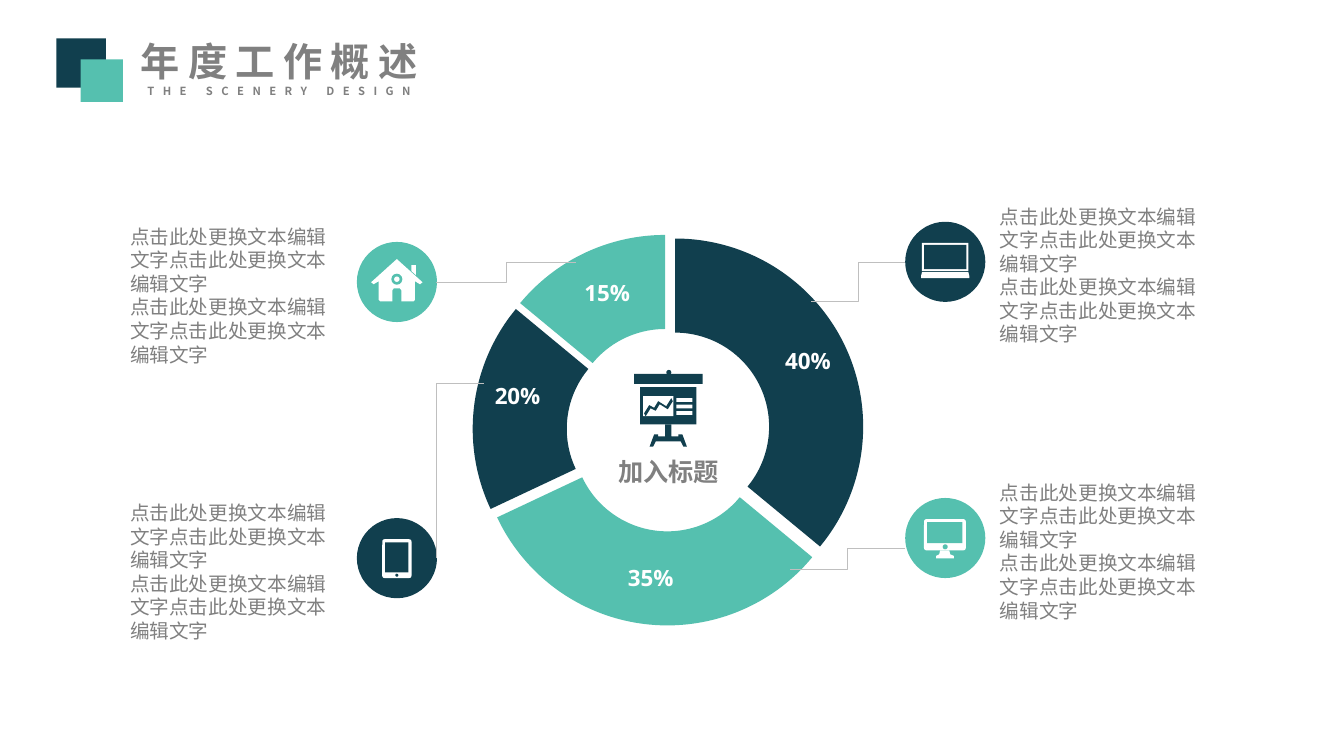
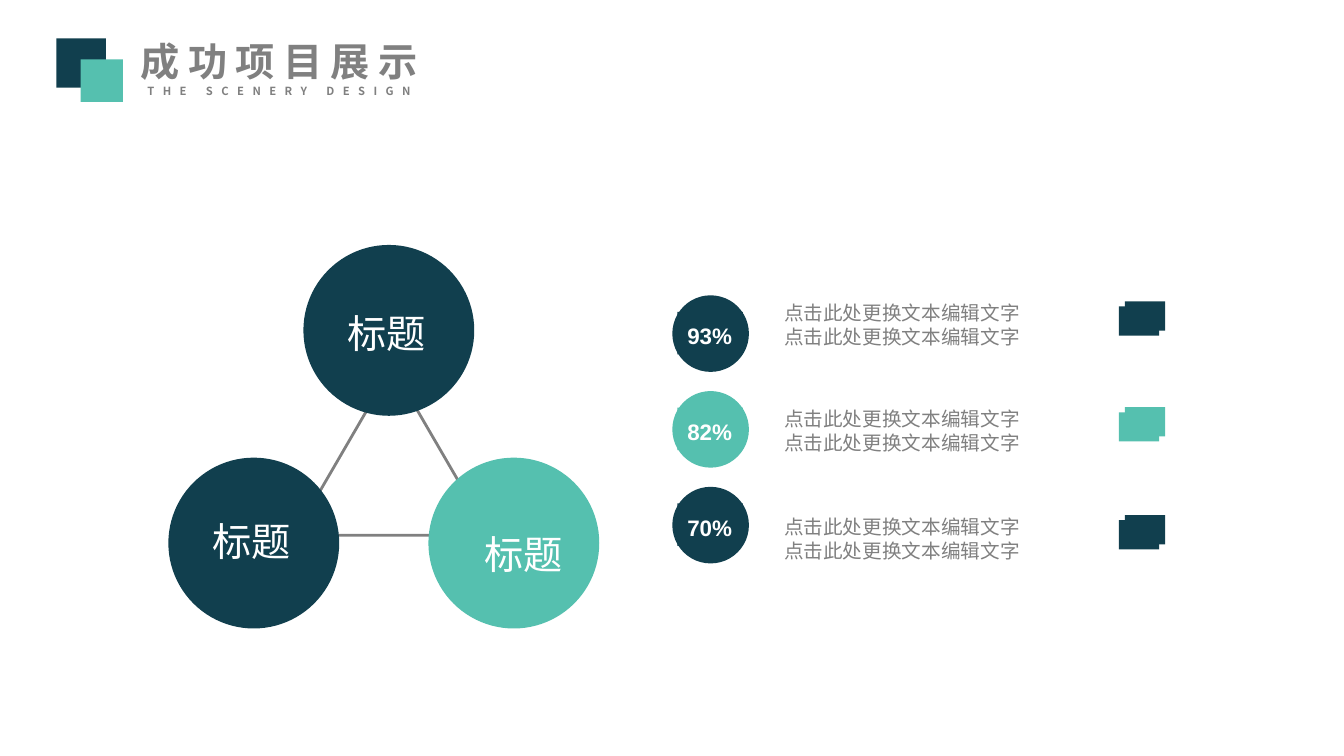
from lxml.etree import SubElement
from pptx import Presentation
from pptx.chart.data import CategoryChartData
from pptx.dml.color import RGBColor
from pptx.enum.chart import XL_CHART_TYPE
from pptx.enum.shapes import MSO_CONNECTOR, MSO_SHAPE
from pptx.enum.text import MSO_ANCHOR, PP_ALIGN
from pptx.oxml.ns import qn
from pptx.util import Inches, Pt

NAVY = RGBColor(0x11, 0x3F, 0x4E)
TEAL = RGBColor(0x55, 0xC0, 0xAF)
GRAY = RGBColor(0x80, 0x80, 0x80)
SILVER = RGBColor(0xBF, 0xBF, 0xBF)
WHITE = RGBColor(0xFF, 0xFF, 0xFF)
CJK = "Noto Sans CJK SC"
COLUMNS, ROWS = 133.33, 75
CELL = Inches(0.1)
NORMAL, TIGHT = (1, 0.5), (0.5, 0.3)
PHRASE = "点击此处更换文本编辑文字"


def cells(*values):
    """Turn columns or rows of the grid into lengths."""
    return [round(value * CELL) for value in values]


class Deck:
    """Hold the shared style and draw on the current slide."""

    def __init__(self):
        self.presentation = Presentation()
        self.presentation.slide_width, self.presentation.slide_height = cells(COLUMNS, ROWS)
        self.slide = None

    def new_slide(self, title):
        """Start a slide with the title and its two squares."""
        self.slide = self.presentation.slides.add_slide(self.presentation.slide_layouts[6])
        self.text(12.4, 3.2, 30.6, 7.1, [(title, 28), ("THE SCENERY DESIGN", 8)],
                  bold=True, align=PP_ALIGN.CENTER, wrap=False, spacing=6)
        self.shape(5.6, 3.8, 4.9, 4.9, NAVY)
        self.shape(8, 5.9, 4.2, 4.2, TEAL)

    def paint(self, shape, fill, line=None):
        """Give a shape a flat fill or an outline."""
        shape.shadow.inherit = False
        if fill is None:
            shape.fill.background()
        else:
            shape.fill.solid()
            shape.fill.fore_color.rgb = fill
        if line is None:
            shape.line.fill.background()
        else:
            shape.line.color.rgb = line
            shape.line.width = Pt(2)
        return shape

    def shape(self, left, top, width, height, fill, kind=MSO_SHAPE.RECTANGLE, line=None):
        """Add a preset shape."""
        shape = self.slide.shapes.add_shape(kind, *cells(left, top, width, height))
        return self.paint(shape, fill, line)

    def circle(self, left, top, size, fill):
        """Add a circle."""
        return self.shape(left, top, size, size, fill, MSO_SHAPE.OVAL)

    def rounded(self, left, top, width, height, fill):
        """Add a rectangle with slightly rounded corners."""
        shape = self.shape(left, top, width, height, fill, MSO_SHAPE.ROUNDED_RECTANGLE)
        shape.adjustments[0] = 0.08
        return shape

    def polygon(self, fill, points):
        """Add a closed outline through the points."""
        corners = [tuple(cells(*point)) for point in points]
        builder = self.slide.shapes.build_freeform(*corners[0])
        builder.add_line_segments(corners[1:], close=True)
        return self.paint(builder.convert_to_shape(), fill)

    def text(self, left, top, width, height, lines, font=CJK, color=GRAY, bold=False,
             align=PP_ALIGN.LEFT, wrap=True, insets=NORMAL, spacing=0, leading=None, fill=None):
        """Add a text box with one paragraph for each line and its size."""
        shape = self.slide.shapes.add_textbox(*cells(left, top, width, height))
        if fill is not None:
            self.paint(shape, fill)
        frame = shape.text_frame
        frame.word_wrap = wrap
        frame.vertical_anchor = MSO_ANCHOR.TOP
        frame.margin_left, frame.margin_top = cells(*insets)
        frame.margin_right, frame.margin_bottom = cells(*insets)
        for index, (content, size) in enumerate(lines):
            paragraph = frame.add_paragraph() if index else frame.paragraphs[0]
            paragraph.alignment = align
            if leading:
                paragraph.line_spacing = leading
            run = paragraph.add_run()
            run.text = content
            run.font.size = Pt(size)
            run.font.bold = bold
            run.font.color.rgb = color
            run.font.name = font
            properties = run._r.get_or_add_rPr()
            SubElement(properties, qn("a:ea")).set("typeface", font)
            if spacing:
                properties.set("spc", str(spacing * 100))

    def elbow(self, start, end, bend=0.5):
        """Add a thin bent connector that turns at a share of its width."""
        connector = self.slide.shapes.add_connector(MSO_CONNECTOR.ELBOW, *cells(*start, *end))
        connector.line.color.rgb = SILVER
        connector.line.width = Pt(0.5)
        properties = connector._element.spPr
        guides = properties.find(qn("a:prstGeom")).find(qn("a:avLst"))
        guide = SubElement(guides, qn("a:gd"))
        guide.set("name", "adj1")
        guide.set("fmla", f"val {round(bend * 100000)}")
        SubElement(properties, qn("a:effectLst"))

    def doughnut(self, left, top, width, height, values, colors):
        """Add an exploded doughnut chart."""
        data = CategoryChartData()
        data.categories = [str(number + 1) for number in range(len(values))]
        data.add_series("Series 1", values)
        chart = self.slide.shapes.add_chart(
            XL_CHART_TYPE.DOUGHNUT, *cells(left, top, width, height), data).chart
        chart.has_legend = False
        chart.has_title = False
        chart.font.name = CJK
        chart.font.size = Pt(18)
        plot = chart.plots[0]
        plot.vary_by_categories = True
        plot._element.find(qn("c:holeSize")).set("val", "64")
        series = plot.series[0]
        explosion = SubElement(series._element, qn("c:explosion"))
        explosion.set("val", "8")
        series._element.find(qn("c:cat")).addprevious(explosion)
        for index, color in enumerate(colors):
            point = series.points[index].format
            point.fill.solid()
            point.fill.fore_color.rgb = color
            point.line.fill.background()
        area = chart._chartSpace.chart.plotArea
        for layout in area.findall(qn("c:layout")):
            area.remove(layout)
        layout = SubElement(area, qn("c:layout"))
        area.insert(0, layout)
        manual = SubElement(layout, qn("c:manualLayout"))
        share = 0.94
        across = share * height / width
        settings = [("layoutTarget", "inner"), ("xMode", "edge"), ("yMode", "edge"),
                    ("x", (1 - across) / 2), ("y", (1 - share) / 2), ("w", across), ("h", share)]
        for name, value in settings:
            SubElement(manual, qn(f"c:{name}")).set("val", str(value))

    def board_icon(self, left, top):
        """Draw a presentation board on a stand."""
        self.circle(left + 3.2, top, 0.5, NAVY)
        self.shape(left, top + 0.4, 6.8, 1, NAVY)
        self.shape(left + 0.6, top + 1.7, 5.6, 3.7, NAVY)
        self.shape(left + 0.9, top + 2.6, 3, 2, WHITE)
        for row in range(3):
            self.shape(left + 4.2, top + 2.8 + 0.65 * row, 1.6, 0.37, WHITE)
        trend = [(1, 4.3), (1.5, 3.5), (2, 3.75), (2.4, 3.1), (3.2, 3.6), (3.7, 2.8)]
        band = trend + [(x + 0.15, y + 0.3) for x, y in reversed(trend)]
        self.polygon(NAVY, [(left + x, top + y) for x, y in band])
        stand = [(0.3, 5.4), (0.3, 6.6), (1, 6.6), (1, 6.4), (1.4, 6.4), (1.85, 7.6),
                 (1.5, 7.6), (1.25, 7.1)]
        outline = stand + [(-x, y) for x, y in reversed(stand)]
        self.polygon(NAVY, [(left + 3.4 + x, top + y) for x, y in outline])

    def house_icon(self, x, y, back):
        """Draw a house centred on a point."""
        half = [(0, -2.3), (2.55, 0), (2.3, 0.2), (1.8, -0.1), (1.8, 1.75), (1.65, 1.9),
                (0.45, 1.9), (0.45, 0.8), (0.3, 0.6)]
        outline = half + [(-across, down) for across, down in reversed(half[1:])]
        self.polygon(WHITE, [(x + across, y + down) for across, down in outline])
        self.polygon(WHITE, [(x + 1.45, y - 1.7), (x + 1.9, y - 1.7),
                             (x + 1.9, y - 0.7), (x + 1.45, y - 1.1)])
        self.circle(x - 0.55, y - 0.85, 1.1, back)
        self.circle(x - 0.27, y - 0.57, 0.54, WHITE)

    def tablet_icon(self, x, y, back):
        """Draw a tablet centred on a point."""
        self.rounded(x - 1.45, y - 1.9, 2.9, 3.85, WHITE)
        self.shape(x - 1.15, y - 1.6, 2.3, 3, back)
        self.circle(x - 0.15, y + 1.52, 0.3, back)

    def monitor_icon(self, x, y, back):
        """Draw a desktop monitor centred on a point."""
        self.rounded(x - 2.1, y - 1.9, 4.15, 3.1, WHITE)
        self.shape(x - 1.8, y - 1.6, 3.5, 2.1, back)
        self.circle(x - 0.25, y + 0.6, 0.5, back)
        stand = [(-0.5, 1.2), (0.4, 1.2), (0.5, 1.6), (0.85, 1.75), (0.85, 2),
                 (-0.9, 2), (-0.9, 1.75), (-0.6, 1.6)]
        self.polygon(WHITE, [(x + across, y + down) for across, down in stand])

    def laptop_icon(self, x, y, back):
        """Draw a laptop centred on a point."""
        self.shape(x - 2.3, y - 1.9, 4.6, 2.8, WHITE)
        self.shape(x - 2.1, y - 1.7, 4.2, 2.4, back)
        base = [(-2.3, 1), (2.3, 1), (2.4, 1.4), (2.4, 1.6), (-2.4, 1.6), (-2.4, 1.4)]
        self.polygon(WHITE, [(x + across, y + down) for across, down in base])

    def save(self):
        """Write the file."""
        self.presentation.save("out.pptx")


def overview(deck):
    """Build the slide with the doughnut and its four notes."""
    deck.new_slide("年度工作概述")
    deck.doughnut(42.2, 22, 48.2, 41.3, (36, 32, 18, 14), (NAVY, TEAL, NAVY, TEAL))
    notes = [(98.7, 20, 89.8, NAVY, deck.laptop_icon),
             (98.7, 47.4, 89.8, TEAL, deck.monitor_icon),
             (12.4, 22, 35.4, TEAL, deck.house_icon),
             (12.4, 49.4, 35.4, NAVY, deck.tablet_icon)]
    for left, top, badge, color, icon in notes:
        deck.text(left, top, 22.3, 14.6, [(PHRASE * 2, 14)] * 2, insets=TIGHT)
        deck.circle(badge, top + 2, 7.95, color)
        icon(badge + 3.97, top + 6, color)
    deck.elbow((43.3, 28), (57.1, 26))
    deck.elbow((43.3, 55.4), (48, 38), bend=0)
    deck.elbow((89.8, 26), (80.5, 29.9))
    deck.elbow((89.8, 54.4), (78.4, 56.5))
    labels = [(76.8, 34.1, "40%"), (56.9, 27.4, "15%"), (61.2, 55.7, "35%"), (48, 37.6, "20%")]
    for left, top, share in labels:
        deck.text(left, top, 6.7, 3.2, [(share, 16)], "Open Sans", WHITE, True,
                  PP_ALIGN.CENTER, insets=TIGHT)
    deck.text(58.5, 45, 15.7, 3.5, [("加入标题", 18)], "Open Sans", GRAY, True,
              PP_ALIGN.CENTER, insets=TIGHT)
    deck.board_icon(62.9, 36.7)


def projects(deck):
    """Build the slide with the three linked circles and the rates."""
    deck.new_slide("成功项目展示")
    rates = [("93%", 29.4, NAVY), ("82%", 39.9, TEAL), ("70%", 50.6, NAVY)]
    for index, (rate, top, color) in enumerate(rates):
        badge = 29.3 + 9.5 * index
        deck.circle(66.7, badge, 7.6, color)
        deck.text(67.2, badge + 1.65, 6.5, 4.2, [(rate, 16)], "Arial", WHITE, True,
                  wrap=False, leading=1.2, fill=color)
        for left, offset in ((111, 1), (111.6, 0.5)):
            deck.shape(left, top + offset, 4, 2.9, color)
        deck.text(76.8, top, 33.1, 5.7, [(PHRASE, 14)] * 2)
    deck.shape(29.2, 36.4, 19.4, 16.7, None, MSO_SHAPE.ISOSCELES_TRIANGLE, GRAY)
    topics = [(30.1, 24.3, 33.5, 30.2, NAVY), (42.5, 45.4, 47.1, 52.1, TEAL),
              (16.7, 45.4, 20.1, 50.8, NAVY)]
    for left, top, label_left, label_top, color in topics:
        deck.circle(left, top, 16.95, color)
        deck.text(label_left, label_top, 9.9, 5.7, [("标题", 28)], color=WHITE,
                  wrap=False, fill=color)


def main():
    """Build both slides and save them."""
    deck = Deck()
    overview(deck)
    projects(deck)
    deck.save()


if __name__ == "__main__":
    main()
